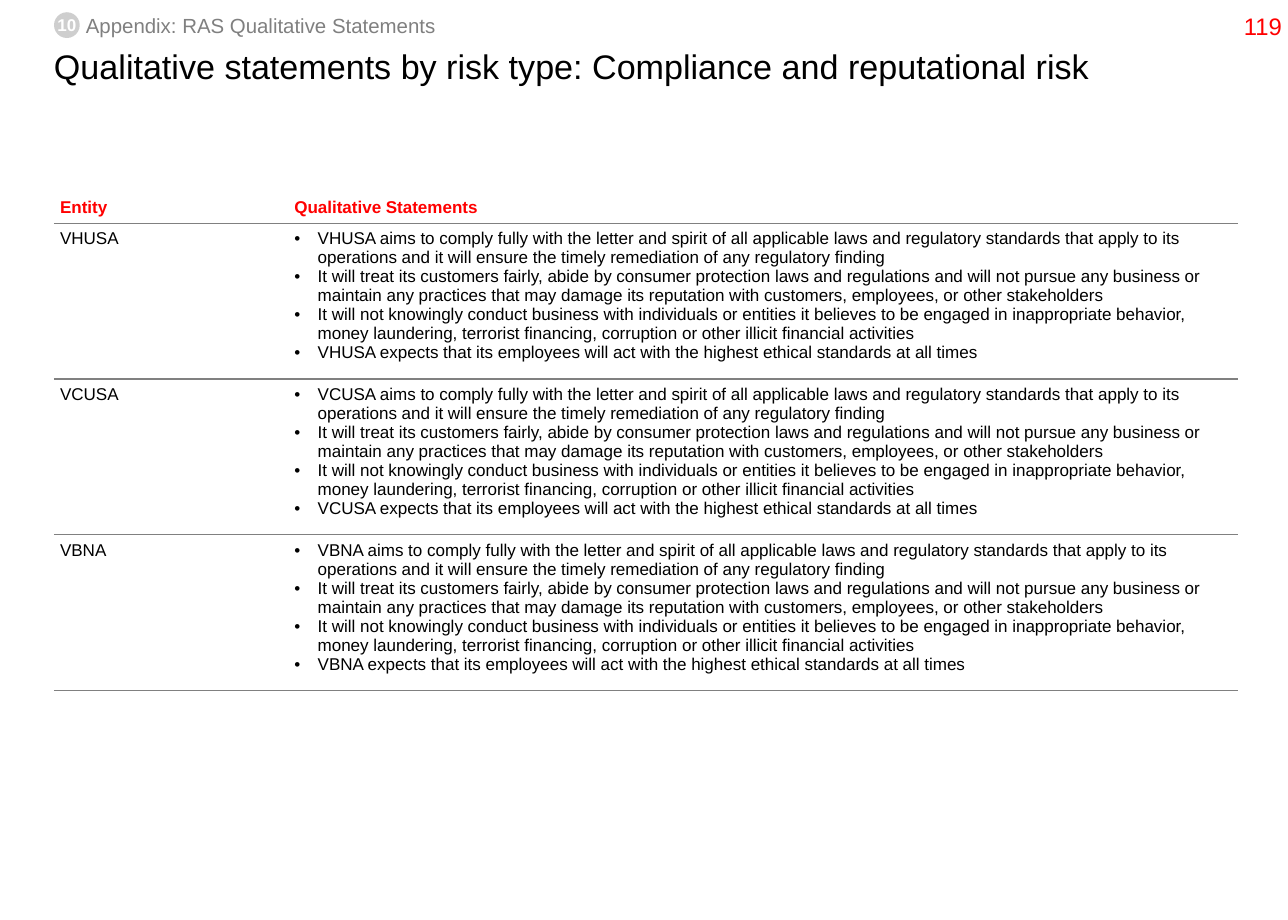
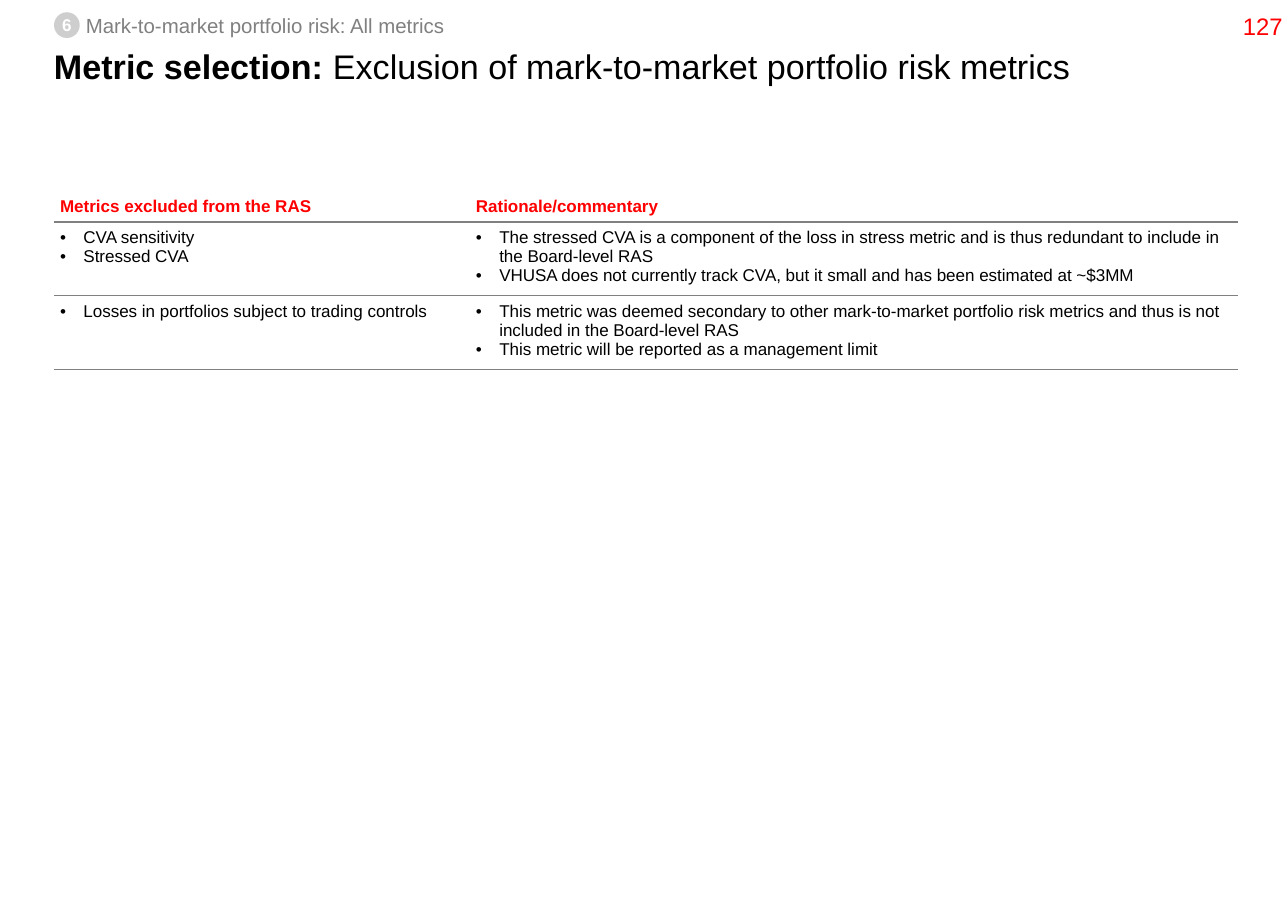
"""Build two risk appetite slides: qualitative statements and excluded metrics."""
from lxml.etree import SubElement
from pptx import Presentation
from pptx.dml.color import RGBColor
from pptx.enum.shapes import MSO_SHAPE
from pptx.enum.text import MSO_ANCHOR as Anchor, MSO_AUTO_SIZE as AutoSize, PP_ALIGN as Align
from pptx.oxml.ns import qn
from pptx.util import Inches, Pt

COLORS = {"black": "000000", "red": "FF0000", "gray": "808080", "badge": "CECECE", "white": "FFFFFF"}
FONT = "Arial"
LEFT = 0.44
CELL_INSET = 0.05
BULLET_INDENT = 0.19
TIGHT = 0.86
PLAIN_TABLE_STYLE = "{2D5ABB26-0587-4C30-8999-92F81FD0307C}"


def write(paragraph, text, size=10, color="black", bold=False, align=Align.LEFT, spacing=None, bullet=False):
    """Append a formatted run, with an optional bullet on its paragraph."""
    if bullet:
        props = paragraph._p.get_or_add_pPr()
        props.set("marL", str(Inches(BULLET_INDENT)))
        props.set("indent", str(-Inches(BULLET_INDENT)))
        SubElement(SubElement(props, qn("a:buClr")), qn("a:srgbClr"), val=COLORS["black"])
        SubElement(props, qn("a:buFont"), typeface=FONT)
        SubElement(props, qn("a:buChar"), char="•")
    paragraph.alignment = align
    if spacing:
        paragraph.line_spacing = spacing
    run = paragraph.add_run()
    run.text = text
    run.font.name = FONT
    run.font.size = Pt(size)
    run.font.bold = bold
    run.font.color.rgb = RGBColor.from_string(COLORS[color])


def set_margins(frame, inset=0):
    """Give a text frame or cell the same inset on all sides."""
    frame.margin_left = frame.margin_right = frame.margin_top = frame.margin_bottom = Inches(inset)


statements = [
    "{0} aims to comply fully with the letter and spirit of all applicable laws and regulatory standards "
    "that apply to its operations and it will ensure the timely remediation of any regulatory finding",
    "It will treat its customers fairly, abide by consumer protection laws and regulations and will not "
    "pursue any business or maintain any practices that may damage its reputation with customers, "
    "employees, or other stakeholders",
    "It will not knowingly conduct business with individuals or entities it believes to be engaged in "
    "inappropriate behavior, money laundering, terrorist financing, corruption or other illicit "
    "financial activities",
    "{0} expects that its employees will act with the highest ethical standards at all times",
]

pages = [
    {
        "number": "119",
        "section": ("10", "Appendix: RAS Qualitative Statements", 2.88),
        "title": [("Qualitative statements by risk type: Compliance and reputational risk", False)],
        "top": 1.55,
        "columns": [1.91, 7.74],
        "heights": (0.27, 1.27),
        "headings": ["Entity", "Qualitative Statements"],
        "rows": [
            (entity, [statement.format(entity) for statement in statements])
            for entity in ("VHUSA", "VCUSA", "VBNA")
        ],
    },
    {
        "number": "127",
        "section": ("6", "Mark-to-market portfolio risk: All metrics", 2.94),
        "title": [
            ("Metric selection: ", True),
            ("Exclusion of mark-to-market portfolio risk metrics", False),
        ],
        "top": 1.54,
        "columns": [3.39, 6.26],
        "heights": (0.27, 0.6),
        "headings": ["Metrics excluded from the RAS", "Rationale/commentary"],
        "rows": [
            (
                ["CVA sensitivity", "Stressed CVA"],
                [
                    "The stressed CVA is a component of the loss in stress metric and is thus redundant "
                    "to include in the Board-level RAS",
                    "VHUSA does not currently track CVA, but it small and has been estimated at ~$3MM",
                ],
            ),
            (
                ["Losses in portfolios subject to trading controls"],
                [
                    "This metric was deemed secondary to other mark-to-market portfolio risk metrics and "
                    "thus is not included in the Board-level RAS",
                    "This metric will be reported as a management limit",
                ],
            ),
        ],
    },
]

deck = Presentation()
deck.slide_width, deck.slide_height = Inches(10.5), Inches(7.5)

for page in pages:
    slide = deck.slides.add_slide(deck.slide_layouts[5])

    title = slide.shapes.title
    title.left, title.top, title.width, title.height = [Inches(v) for v in (LEFT, 0.42, 9.63, 0.8)]
    title.text_frame.vertical_anchor = Anchor.TOP
    title.text_frame.auto_size = AutoSize.NONE
    set_margins(title.text_frame)
    for part, bold in page["title"]:
        write(title.text_frame.paragraphs[0], part, size=20, bold=bold, spacing=TIGHT)

    section_number, section_name, section_width = page["section"]
    tracker = slide.shapes.add_group_shape()
    section = tracker.shapes.add_textbox(Inches(0.7), Inches(0.11), Inches(section_width), Inches(0.2))
    section.text_frame.word_wrap = False
    section.text_frame.auto_size = AutoSize.SHAPE_TO_FIT_TEXT
    set_margins(section.text_frame)
    write(section.text_frame.paragraphs[0], section_name, size=12, color="gray")

    badge = tracker.shapes.add_shape(MSO_SHAPE.OVAL, Inches(LEFT), Inches(0.1), Inches(0.21), Inches(0.21))
    badge.shadow.inherit = False
    badge.fill.solid()
    badge.fill.fore_color.rgb = RGBColor.from_string(COLORS["badge"])
    badge.line.fill.background()
    badge.text_frame.word_wrap = False
    badge.text_frame.vertical_anchor = Anchor.MIDDLE
    set_margins(badge.text_frame)
    write(badge.text_frame.paragraphs[0], section_number, color="white", bold=True, align=Align.CENTER)

    header_height, row_height = page["heights"]
    row_count = len(page["rows"])
    table = slide.shapes.add_table(
        row_count + 1, len(page["columns"]), Inches(LEFT), Inches(page["top"]),
        Inches(sum(page["columns"])), Inches(header_height + row_count * row_height),
    ).table
    table.horz_banding = False
    table._tbl.tblPr.find(qn("a:tableStyleId")).text = PLAIN_TABLE_STYLE
    for column, width in zip(table.columns, page["columns"]):
        column.width = Inches(width)

    for row_index, contents in enumerate([page["headings"], *page["rows"]]):
        is_header = row_index == 0
        table.rows[row_index].height = Inches(header_height if is_header else row_height)
        for column_index, content in enumerate(contents):
            cell = table.cell(row_index, column_index)
            set_margins(cell, CELL_INSET)
            cell.vertical_anchor = Anchor.BOTTOM if is_header else Anchor.TOP
            rule = SubElement(cell._tc.get_or_add_tcPr(), qn("a:lnB"), w=str(Pt(0.75)))
            SubElement(SubElement(rule, qn("a:solidFill")), qn("a:srgbClr"), val=COLORS["gray"])
            if is_header:
                cell.fill.background()
                write(cell.text_frame.paragraphs[0], content, color="red", bold=True, spacing=TIGHT)
                continue
            cell.fill.solid()
            cell.fill.fore_color.rgb = RGBColor.from_string(COLORS["white"])
            bulleted = isinstance(content, list)
            for item_index, item in enumerate(content if bulleted else [content]):
                frame = cell.text_frame
                paragraph = frame.add_paragraph() if item_index else frame.paragraphs[0]
                write(paragraph, item, bullet=bulleted)

    page_number = slide.shapes.add_textbox(Inches(10.09), 0, Inches(0.41), Inches(0.42))
    page_number.text_frame.word_wrap = False
    page_number.text_frame.auto_size = AutoSize.NONE
    page_number.text_frame.vertical_anchor = Anchor.MIDDLE
    set_margins(page_number.text_frame)
    write(page_number.text_frame.paragraphs[0], page["number"], size=14, color="red", align=Align.CENTER)

deck.save("out.pptx")
